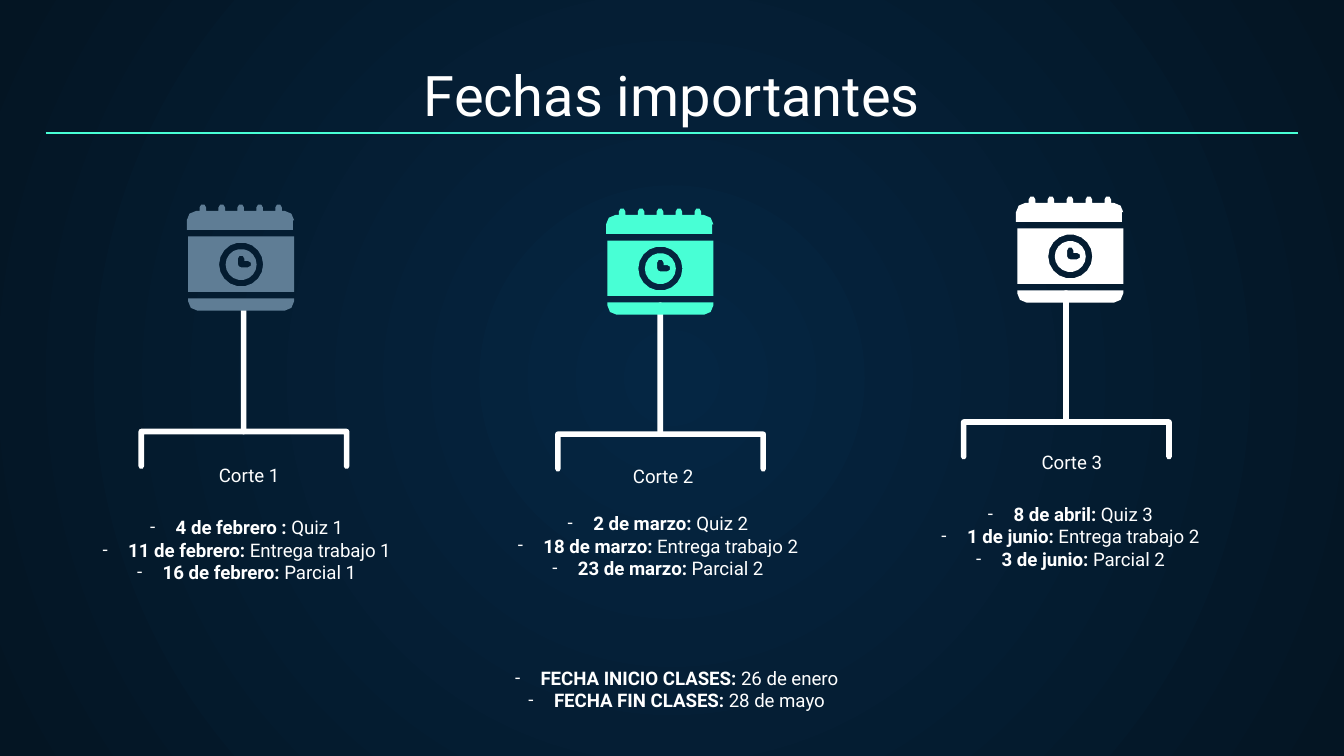
from math import cos, radians, sin

from lxml.etree import SubElement
from pptx import Presentation
from pptx.dml.color import RGBColor
from pptx.enum.shapes import MSO_CONNECTOR, MSO_SHAPE
from pptx.enum.text import MSO_ANCHOR, MSO_AUTO_SIZE, PP_ALIGN
from pptx.oxml.ns import qn
from pptx.util import Pt

COLORS = {
    "center": "052643",
    "edge": "041523",
    "white": "FFFFFF",
    "mint": "48FFD5",
    "slate": "5F7D95",
}
FONT = "Roboto"
INDENT = 13.7


def write_text(shape, box, lines, size=10, anchor=MSO_ANCHOR.TOP, bullet=False):
    """Place a shape and fill it with centred (bold, plain) lines."""
    shape.left, shape.top, shape.width, shape.height = [Pt(value) for value in box]
    frame = shape.text_frame
    frame.word_wrap = True
    frame.auto_size = MSO_AUTO_SIZE.NONE
    frame.vertical_anchor = anchor
    frame.margin_left = frame.margin_right = Pt(7.2)
    frame.margin_top = frame.margin_bottom = Pt(7.2)
    for index, line in enumerate(lines):
        paragraph = frame.add_paragraph() if index else frame.paragraphs[0]
        paragraph.alignment = PP_ALIGN.CENTER
        paragraph.line_spacing = 1.0
        paragraph.space_before = paragraph.space_after = Pt(0)
        for text, bold in zip(line, (True, False)):
            if text:
                run = paragraph.add_run()
                run.text = text
                run.font.name = FONT
                run.font.size = Pt(size)
                run.font.bold = bold
                run.font.color.rgb = RGBColor.from_string(COLORS["white"])
        if bullet:
            properties = paragraph._p.get_or_add_pPr()
            properties.set("marL", str(Pt(INDENT)))
            properties.set("indent", str(Pt(-INDENT)))
            bullet_color = SubElement(properties, qn("a:buClr"))
            SubElement(bullet_color, qn("a:srgbClr")).set("val", COLORS["white"])
            SubElement(properties, qn("a:buFont")).set("typeface", FONT)
            SubElement(properties, qn("a:buChar")).set("char", "-")


def add_outline(shapes, origin, contours):
    """Outline contours of points (x, y) and arcs (x, y, radius, start, end)."""
    builder = None
    for contour in contours:
        points = []
        for x, y, *arc in contour:
            if arc:
                radius, start, end = arc
                step_angle = 20 if radius > 6 else 45 if radius > 3 else 60
                steps = max(2, round((end - start) / step_angle))
                angles = [radians(start + (end - start) * step / steps)
                          for step in range(steps + 1)]
                points += [(x + radius * cos(a), y + radius * sin(a)) for a in angles]
            else:
                points.append((x, y))
        points = [(Pt(origin[0] + x), Pt(origin[1] + y)) for x, y in points]
        if builder is None:
            builder = shapes.build_freeform(*points[0], scale=1.0)
        else:
            builder.move_to(*points[0])
        builder.add_line_segments(points[1:], close=True)
    return builder.convert_to_shape()


presentation = Presentation()
presentation.slide_width = Pt(720)
presentation.slide_height = Pt(405)
slide = presentation.slides.add_slide(presentation.slide_layouts[1])
shapes = slide.shapes

# Radial background
background = slide.background.fill
background.gradient()
for position, (stop, name) in enumerate(zip(background.gradient_stops, ("center", "edge"))):
    stop.color.rgb = RGBColor.from_string(COLORS[name])
    stop.position = position
linear = next(slide.element.iter(qn("a:lin")))
gradient = linear.getparent()
gradient.remove(linear)
radial = SubElement(gradient, qn("a:path"))
radial.set("path", "circle")
focus = SubElement(radial, qn("a:fillToRect"))
for side in "ltrb":
    focus.set(side, "50000")

# Title and rule
write_text(shapes.title, (24.5, 28.1, 671, 47.5), [("", "Fechas importantes")],
           size=30, anchor=MSO_ANCHOR.BOTTOM)
rule = shapes.add_connector(MSO_CONNECTOR.STRAIGHT, Pt(24.5), Pt(71.3), Pt(695.5), Pt(71.3))
rule.line.color.rgb = RGBColor.from_string(COLORS["mint"])
rule.line.width = Pt(0.75)
SubElement(rule._element.spPr, qn("a:effectLst"))

# Outlines shared by the three terms
bracket = [(1.5, 1.5, 1.5, 180, 270), (111.5, 1.5, 1.5, 270, 360),
           (111.5, 20.1, 1.5, 0, 180), (110, 3), (3, 3), (1.5, 20.1, 1.5, 0, 180)]
panel = [(0, 17.3), (56.8, 17.3), (56.8, 47), (0, 47)]
clock_hole = [(28.4, 32.3, 11.8, 0, 360)]
clock_face = [(28.4, 32.3, 8.3, 0, 360)]
clock_hands = [(28.4, 29.1, 1.7, 180, 360), (30.1, 30.4),
               (32.1, 32.1, 1.7, -90, 90), (28.4, 32.1, 1.7, 90, 180)]
foot = [(0, 50.4), (56.8, 50.4), (51.8, 52, 5, 0, 90), (5, 52, 5, 90, 180)]
head = [(4.3, 8.6, 5, 180, 270)]
for ring in range(5):
    x = 7.9 + 10.15 * ring
    head += [(x - 1.75, 3.6), (x, 1.75, 1.75, 180, 360), (x + 1.75, 3.6)]
head += [(51.8, 8.6, 5, 270, 360), (56.1, 8.6), (56.1, 13.7), (-0.7, 13.7)]
calendar_parts = ([panel, clock_hole], [clock_face, clock_hands], [foot], [head])

# Name, colour, calendar, bracket, label and list corners, dates
terms = [
    ("Corte 1", "slate", (100.8, 109.4), (74.2, 229.7), (51.8, 252.7), (42.5, 269.3),
     [("4 de febrero : ", "Quiz 1"), ("11 de febrero: ", "Entrega trabajo 1"),
      ("16 de febrero: ", "Parcial 1")]),
    ("Corte 2", "mint", (325.4, 111.6), (297.4, 231.1), (273.6, 253.4), (262.8, 267.1),
     [("2 de marzo: ", "Quiz 2"), ("18 de marzo: ", "Entrega trabajo 2"),
      ("23 de marzo: ", "Parcial 2")]),
    ("Corte 3", "white", (545, 105.1), (514.8, 224.6), (492.5, 245.5), (483.8, 262.1),
     [("8 de abril: ", "Quiz 3"), ("1 de junio: ", "Entrega trabajo 2"),
      ("3 de junio: ", "Parcial 2")]),
]
for index, (name, color, calendar_at, bracket_at, label_at, list_at, dates) in enumerate(terms):
    left, top = bracket_at
    stem = shapes.add_shape(MSO_SHAPE.ROUNDED_RECTANGLE, Pt(left + 54.8), Pt(top - 69.1),
                            Pt(3), Pt(72.1))
    stem.adjustments[0] = 0.5
    painted = [(stem, "white"), (add_outline(shapes, bracket_at, [bracket]), "white")]
    calendar = shapes.add_group_shape()
    painted += [(add_outline(calendar.shapes, calendar_at, contours), color)
                for contours in calendar_parts]
    for shape, fill_name in painted:
        shape.shadow.inherit = False
        shape.fill.solid()
        shape.fill.fore_color.rgb = RGBColor.from_string(COLORS[fill_name])
        shape.line.fill.background()
    write_text(shapes.add_textbox(0, 0, 0, 0), (*label_at, 163.4, 15.1), [("", name)],
               anchor=MSO_ANCHOR.BOTTOM)
    date_list = shapes.add_textbox(0, 0, 0, 0) if index else slide.placeholders[1]
    write_text(date_list, (*list_at, 179.3, 39.6), dates, bullet=True)

# Start and end of classes
write_text(shapes.add_textbox(0, 0, 0, 0), (248.4, 349.9, 228.2, 39.6),
           [("FECHA INICIO CLASES: ", "26 de enero"), ("FECHA FIN CLASES: ", "28 de mayo")],
           bullet=True)

presentation.save("out.pptx")
